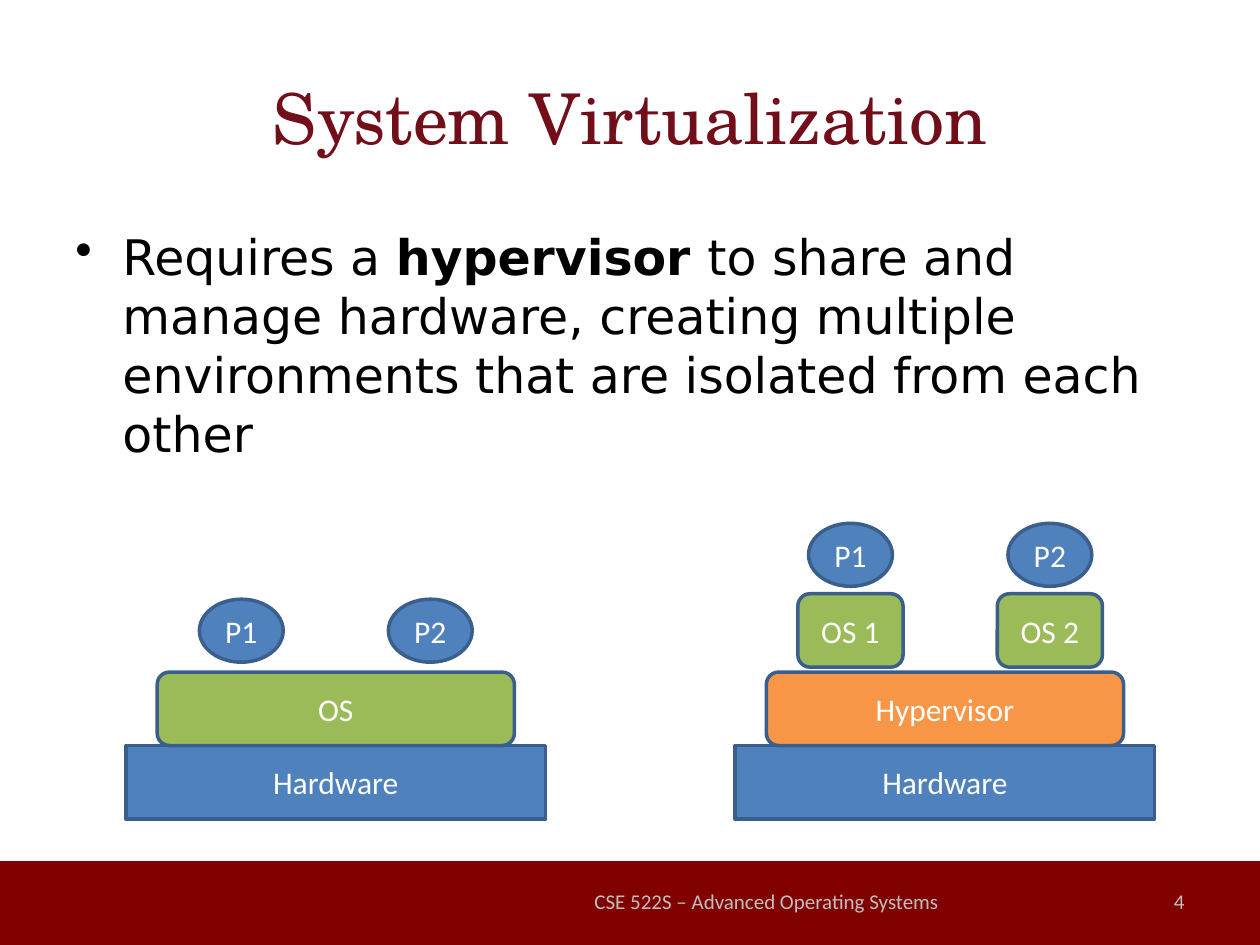
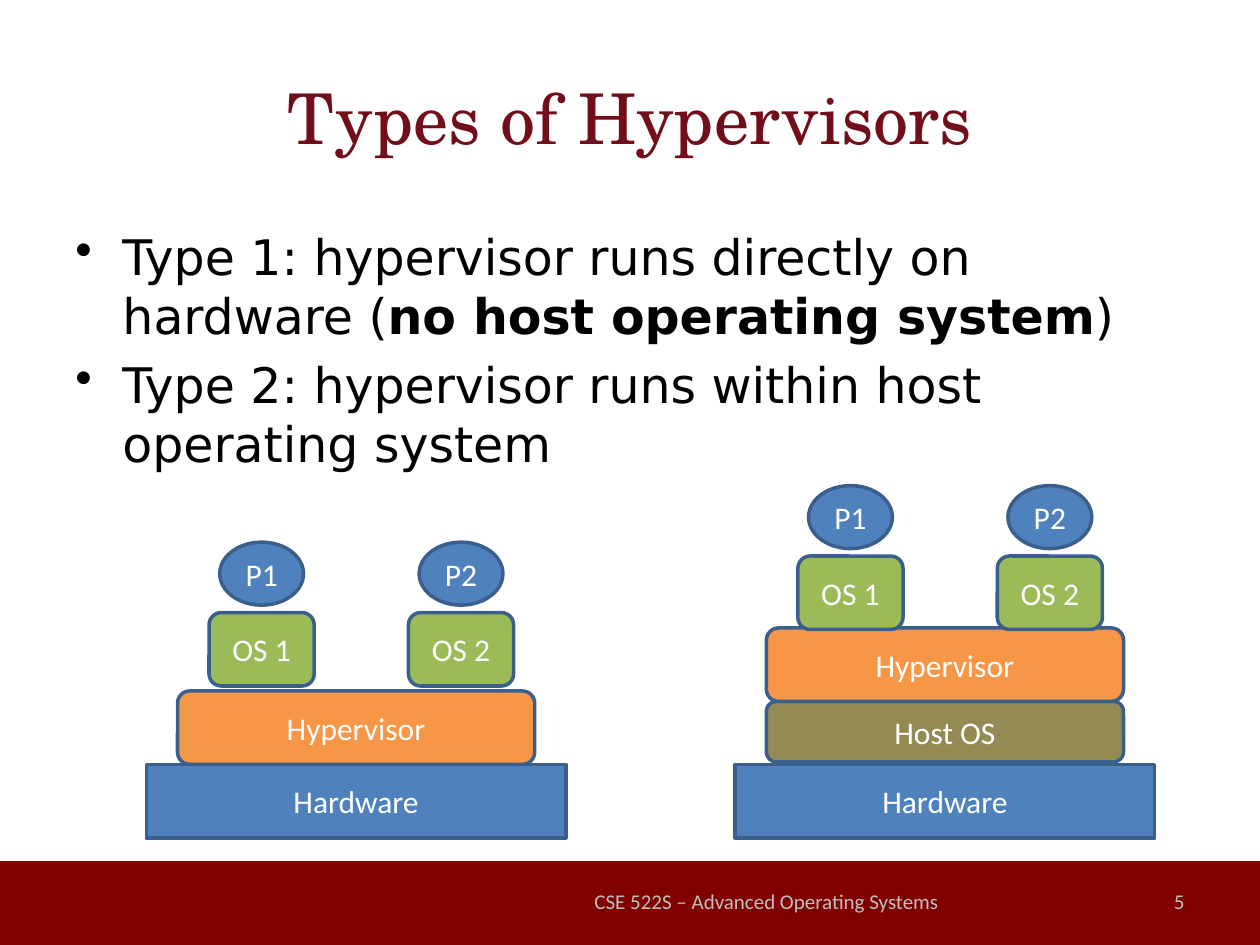
import pptx
import lxml.etree
import pptx.dml.color
import pptx.enum.shapes
import pptx.enum.text
import pptx.oxml.ns
import pptx.util

Cm = pptx.util.Cm
Pt = pptx.util.Pt
RGBColor = pptx.dml.color.RGBColor
Shape = pptx.enum.shapes.MSO_SHAPE
Align = pptx.enum.text.PP_ALIGN
Anchor = pptx.enum.text.MSO_ANCHOR

# Colours
MAROON = RGBColor(0x80, 0x00, 0x00)
TITLE_RED = RGBColor(0x72, 0x0D, 0x1A)
BLACK = RGBColor(0x00, 0x00, 0x00)
WHITE = RGBColor(0xFF, 0xFF, 0xFF)
GREY = RGBColor(0xBF, 0xBF, 0xBF)
BLUE = RGBColor(0x4F, 0x81, 0xBD)
OUTLINE = RGBColor(0x3A, 0x5F, 0x8C)
GREEN = RGBColor(0x9B, 0xBB, 0x59)
ORANGE = RGBColor(0xF7, 0x96, 0x46)
OLIVE = RGBColor(0x94, 0x8A, 0x54)

# Fonts
TITLE_FONT, BODY_FONT, LABEL_FONT = "TeX Gyre Schola", "DejaVu Sans", "Calibri"

# Diagram measures in centimetres
HARDWARE_WIDTH, LAYER_WIDTH, LAYER_HEIGHT = 8.46, 7.2, 1.48
GUEST_WIDTH, GUEST_STEP = 2.12, 4.02
PROCESS_WIDTH, PROCESS_HEIGHT, PROCESS_STEP = 1.69, 1.27, 3.81
PROCESS_LEFT = 1.48
FOOTER = "CSE 522S – Advanced Operating Systems"


class Deck:
    """Holds the shared style and the current slide."""

    def __init__(self):
        self.presentation = pptx.Presentation()
        self.presentation.slide_width = Cm(25.4)
        self.presentation.slide_height = Cm(19.05)
        self.slide = None

    def new_slide(self, title, number):
        self.slide = self.presentation.slides.add_slide(self.presentation.slide_layouts[6])
        self.block(Shape.RECTANGLE, 0, 17.36, 25.4, 1.69, MAROON, outline=None)
        self.text(title, 1.27, 0.76, 22.86, 3.18, TITLE_FONT, 40, TITLE_RED, Align.CENTER)
        self.text(FOOTER, 11.43, 17.65, 8.05, 1.02, LABEL_FONT, 12, GREY, Align.CENTER)
        self.text(str(number), 18.21, 17.65, 5.92, 1.02, LABEL_FONT, 12, GREY, Align.RIGHT)

    def style(self, paragraph, font, size, colour, alignment):
        paragraph.alignment = alignment
        paragraph.font.name = font
        paragraph.font.size = Pt(size)
        paragraph.font.color.rgb = colour

    def text_frame(self, left, top, width, height, anchor):
        box = self.slide.shapes.add_textbox(Cm(left), Cm(top), Cm(width), Cm(height))
        box.text_frame.word_wrap = True
        box.text_frame.vertical_anchor = anchor
        return box.text_frame

    def text(self, text, left, top, width, height, font, size, colour, alignment):
        frame = self.text_frame(left, top, width, height, Anchor.MIDDLE)
        frame.text = text
        self.style(frame.paragraphs[0], font, size, colour, alignment)

    def bullets(self, items):
        """Each item is a list of runs, in which every second one is bold."""
        frame = self.text_frame(1.27, 4.45, 22.86, 5.72, Anchor.TOP)
        for index, runs in enumerate(items):
            paragraph = frame.add_paragraph() if index else frame.paragraphs[0]
            properties = paragraph._p.get_or_add_pPr()
            properties.set("marL", str(Cm(0.95)))
            properties.set("indent", str(Cm(-0.95)))
            bullet = lxml.etree.SubElement(properties, pptx.oxml.ns.qn("a:buChar"))
            bullet.set("char", "•")
            paragraph.space_before = Pt(5.6)
            self.style(paragraph, BODY_FONT, 28, BLACK, Align.LEFT)
            for position, words in enumerate(runs):
                run = paragraph.add_run()
                run.text = words
                if position % 2:
                    run.font.bold = True

    def block(self, kind, left, top, width, height, fill, label="", outline=OUTLINE):
        shape = self.slide.shapes.add_shape(kind, Cm(left), Cm(top), Cm(width), Cm(height))
        shape.shadow.inherit = False
        shape.fill.solid()
        shape.fill.fore_color.rgb = fill
        if outline is None:
            shape.line.fill.background()
        else:
            shape.line.color.rgb = outline
            shape.line.width = Pt(2)
        if label:
            frame = shape.text_frame
            frame.text = label
            frame.vertical_anchor = Anchor.MIDDLE
            self.style(frame.paragraphs[0], LABEL_FONT, 18, WHITE, Align.CENTER)

    def processes(self, left, bottom, step):
        for index in range(2):
            self.block(Shape.OVAL, left + index * step, bottom - PROCESS_HEIGHT,
                       PROCESS_WIDTH, PROCESS_HEIGHT, BLUE, f"P{index + 1}")

    def stack(self, left, bottom, layers, guest_gap=None):
        """Builds upwards: hardware, layers, guest systems if any, processes."""
        top = bottom - LAYER_HEIGHT
        self.block(Shape.RECTANGLE, left, top, HARDWARE_WIDTH, LAYER_HEIGHT, BLUE, "Hardware")
        for label, fill, height, gap in layers:
            top -= height + gap
            self.block(Shape.ROUNDED_RECTANGLE, left + (HARDWARE_WIDTH - LAYER_WIDTH) / 2,
                       top, LAYER_WIDTH, height, fill, label)
        if guest_gap is None:
            self.processes(left + PROCESS_LEFT, top - 0.2, PROCESS_STEP)
            return
        top -= LAYER_HEIGHT + guest_gap
        self.processes(left + PROCESS_LEFT, top - 0.15, GUEST_STEP)
        guest_left = left + PROCESS_LEFT - (GUEST_WIDTH - PROCESS_WIDTH) / 2
        for index in range(2):
            self.block(Shape.ROUNDED_RECTANGLE, guest_left + index * GUEST_STEP, top,
                       GUEST_WIDTH, LAYER_HEIGHT, GREEN, f"OS {index + 1}")


# Layers as label, fill, height and gap below
NATIVE_OS = ("OS", GREEN, LAYER_HEIGHT, 0)
HYPERVISOR = ("Hypervisor", ORANGE, LAYER_HEIGHT, 0)
HOST_OS = ("Host OS", OLIVE, 1.22, 0.05)

deck = Deck()

# System virtualization: one system against a shared machine
deck.new_slide("System Virtualization", 4)
deck.bullets([["Requires a ", "hypervisor ", "to share and manage hardware, creating "
               "multiple environments that are isolated from each other"]])
deck.stack(2.54, 16.51, [NATIVE_OS])
deck.stack(14.82, 16.51, [HYPERVISOR], guest_gap=0.1)

# Types of hypervisors: on hardware against within a host
deck.new_slide("Types of Hypervisors", 5)
deck.bullets([["Type 1: hypervisor runs directly on hardware (", "no host operating system", ")"],
              ["Type 2: hypervisor runs within host operating system"]])
deck.stack(2.95, 16.89, [HYPERVISOR], guest_gap=0.1)
deck.stack(14.82, 16.89, [HOST_OS, HYPERVISOR], guest_gap=-0.03)

deck.presentation.save("out.pptx")
